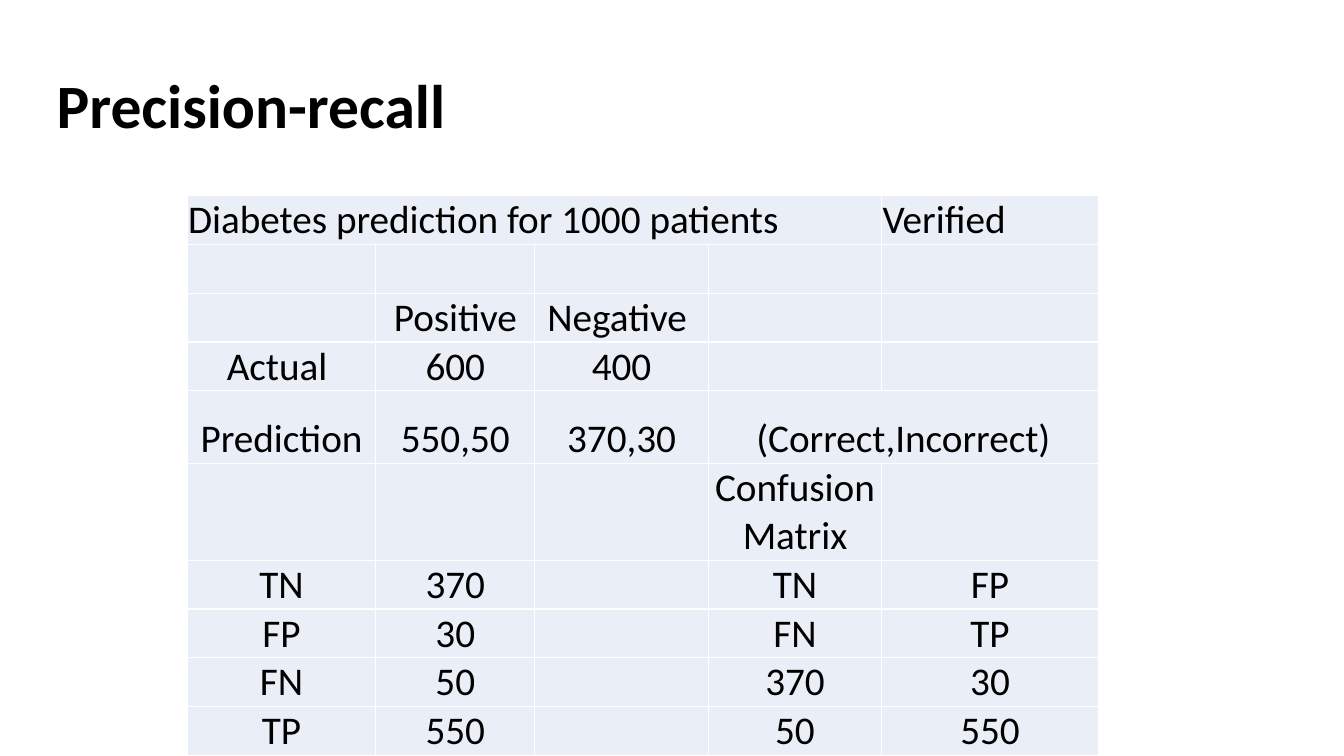
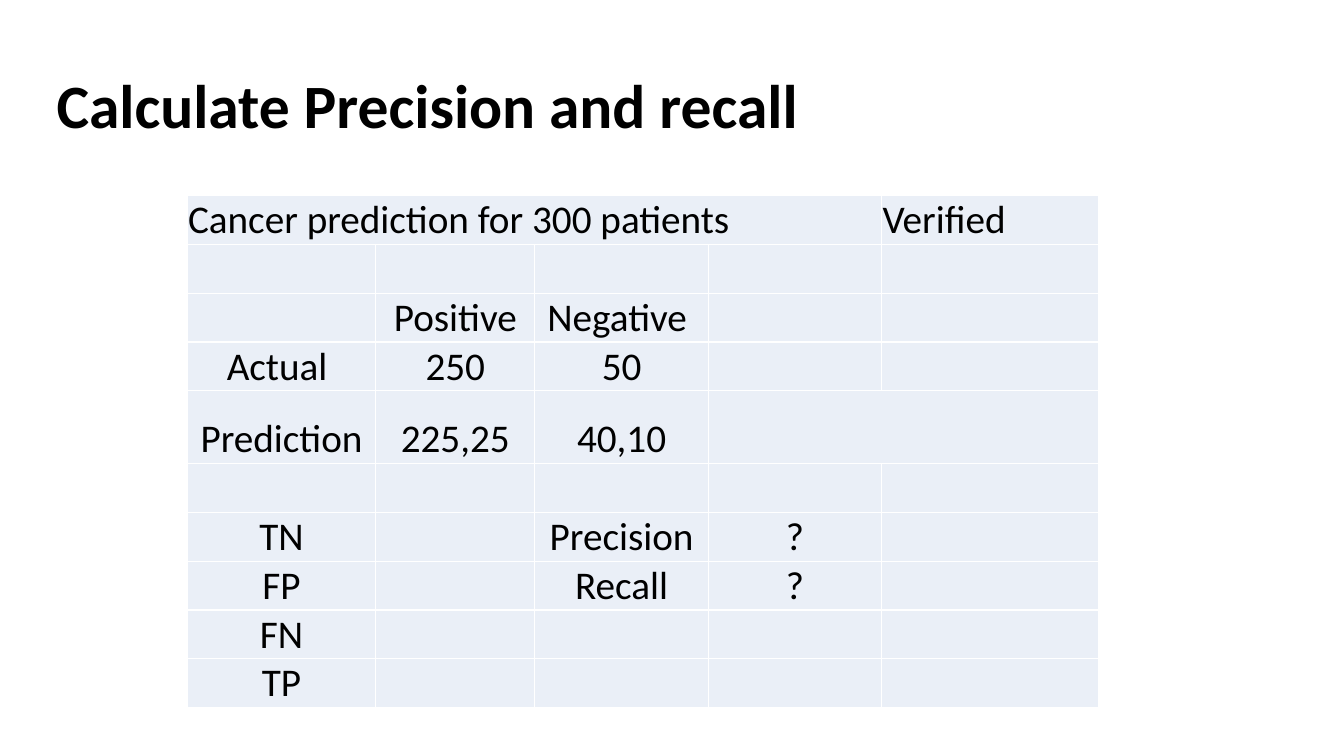
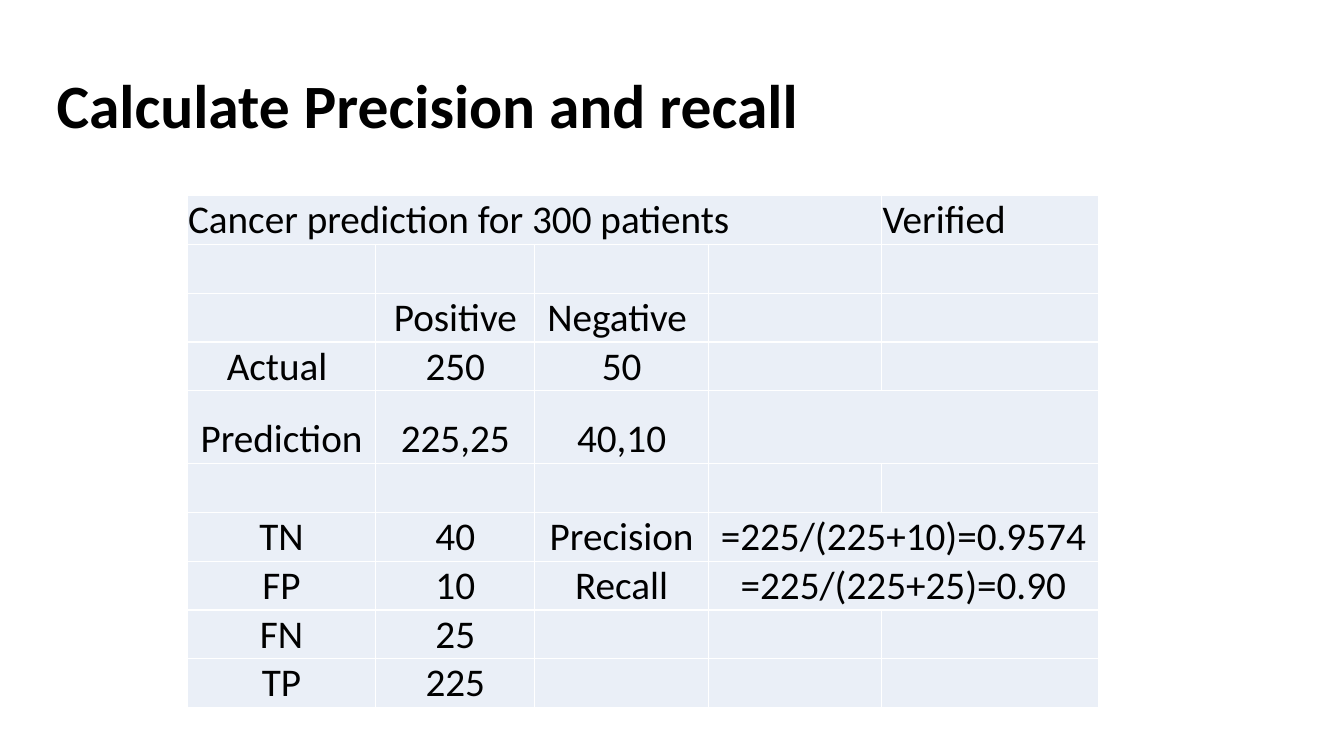
from lxml.etree import SubElement
from pptx import Presentation
from pptx.dml.color import RGBColor
from pptx.enum.text import MSO_ANCHOR, MSO_AUTO_SIZE, PP_ALIGN
from pptx.oxml.ns import qn
from pptx.util import Cm, Pt

FONT, INK, PALE, WHITE = "Calibri", "000000", "EAEFF7", "FFFFFF"
COLS = [4.75, 4.01, 4.37, 4.37, 5.46]
ROW, TALL_ROW, PREDICTION = 1.23, 1.83, 4
LABELS = ["TN", "FP", "FN", "TP"]


def rgb(color):
    """Turn a hex string into a colour."""
    return RGBColor.from_string(color)


def put(obj, values):
    """Set the attributes of an object from a dict."""
    for name, value in values.items():
        setattr(obj, name, value)


class Deck:
    """Hold the shared style and the current slide."""

    title_font = {"name": FONT, "size": Pt(44), "bold": True}
    cell_font = {"name": FONT, "size": Pt(28), "bold": False}
    title_box = {"left": Cm(1.17), "top": Cm(0.89), "width": Cm(25.91), "height": Cm(3.68)}
    title_frame = {"vertical_anchor": MSO_ANCHOR.MIDDLE, "word_wrap": True,
                   "auto_size": MSO_AUTO_SIZE.NONE}
    cell_frame = {"vertical_anchor": MSO_ANCHOR.BOTTOM, "margin_left": Cm(0.02),
                  "margin_right": Cm(0.02), "margin_top": Cm(0.02), "margin_bottom": 0}

    def __init__(self):
        """Start an empty widescreen deck."""
        self.prs = Presentation()
        put(self.prs, {"slide_width": Cm(33.87), "slide_height": Cm(19.05)})

    def slide(self, title):
        """Add a slide with its title."""
        self.s = self.prs.slides.add_slide(self.prs.slide_layouts[5])
        sp = self.s.shapes.title
        put(sp, self.title_box)
        put(sp.text_frame, self.title_frame)
        self.text(sp.text_frame, title, self.title_font, PP_ALIGN.LEFT, 0.9)

    def text(self, tf, text, font, align, spacing=1.0):
        """Write one formatted paragraph."""
        p = tf.paragraphs[0]
        put(p, {"alignment": align, "line_spacing": spacing})
        r = p.add_run()
        r.text = text
        put(r.font, font)
        r.font.color.rgb = rgb(INK)

    def borders(self, cell):
        """Draw thin white lines around a cell."""
        tc_pr = cell._tc.get_or_add_tcPr()
        for side in ("a:lnL", "a:lnR", "a:lnT", "a:lnB"):
            ln = SubElement(tc_pr, qn(side), w=str(Pt(1)))
            fill = SubElement(ln, qn("a:solidFill"))
            SubElement(fill, qn("a:srgbClr"), val=WHITE)

    def table(self, rows):
        """Add a table where None continues the cell on its left."""
        heights = [TALL_ROW if i == PREDICTION else ROW for i in range(len(rows))]
        table = self.s.shapes.add_table(len(rows), len(COLS), Cm(4.72), Cm(4.93),
                                        Cm(sum(COLS)), Cm(sum(heights))).table
        put(table, {"first_row": False, "horz_banding": False})
        for column, width in zip(table.columns, COLS):
            column.width = Cm(width)
        for i, (row, height) in enumerate(zip(rows, heights)):
            table.rows[i].height = Cm(height)
            values = row + [""] * (len(COLS) - len(row))
            for j, value in enumerate(values):
                cell = table.cell(i, j)
                put(cell, self.cell_frame)
                self.borders(cell)
                cell.fill.solid()
                cell.fill.fore_color.rgb = rgb(PALE)
                if value:
                    align = PP_ALIGN.CENTER if i else PP_ALIGN.LEFT
                    self.text(cell.text_frame, value, self.cell_font, align)
            for j in range(len(values)):
                end = j + 1
                while end < len(values) and values[end] is None:
                    end += 1
                if values[j] is not None and end > j + 1:
                    table.cell(i, j).merge(table.cell(i, end - 1))


def prediction_rows(caption, actual, predicted, note, section, results):
    """Put the rows that every table shares above its results."""
    return [
        [caption, None, None, None, "Verified"],
        [],
        ["", "Positive", "Negative "],
        ["Actual ", *actual],
        ["Prediction", *predicted, note, None],
        ["", "", "", section],
        *([label, *result] for label, result in zip(LABELS, results)),
    ]


def main():
    """Build the three slides."""
    deck = Deck()
    deck.slide("Precision-recall")
    deck.table(prediction_rows(
        "Diabetes prediction for 1000 patients", ["600", "400"], ["550,50", "370,30"],
        "(Correct,Incorrect)", "Confusion Matrix",
        [["370", "", "TN", "FP"], ["30", "", "FN", "TP"],
         ["50", "", "370", "30"], ["550", "", "50", "550"]]))
    exercise = [["", "Precision", "?"], ["", "Recall", "?"], [], []]
    solution = [["40", "Precision", "=225/(225+10)=0.9574", None],
                ["10", "Recall", "=225/(225+25)=0.90", None], ["25"], ["225"]]
    for results in (exercise, solution):
        deck.slide("Calculate Precision and recall")
        deck.table(prediction_rows(
            "Cancer prediction for 300 patients", ["250", "50"], ["225,25", "40,10"],
            "", "", results))
    deck.prs.save("out.pptx")


if __name__ == "__main__":
    main()
